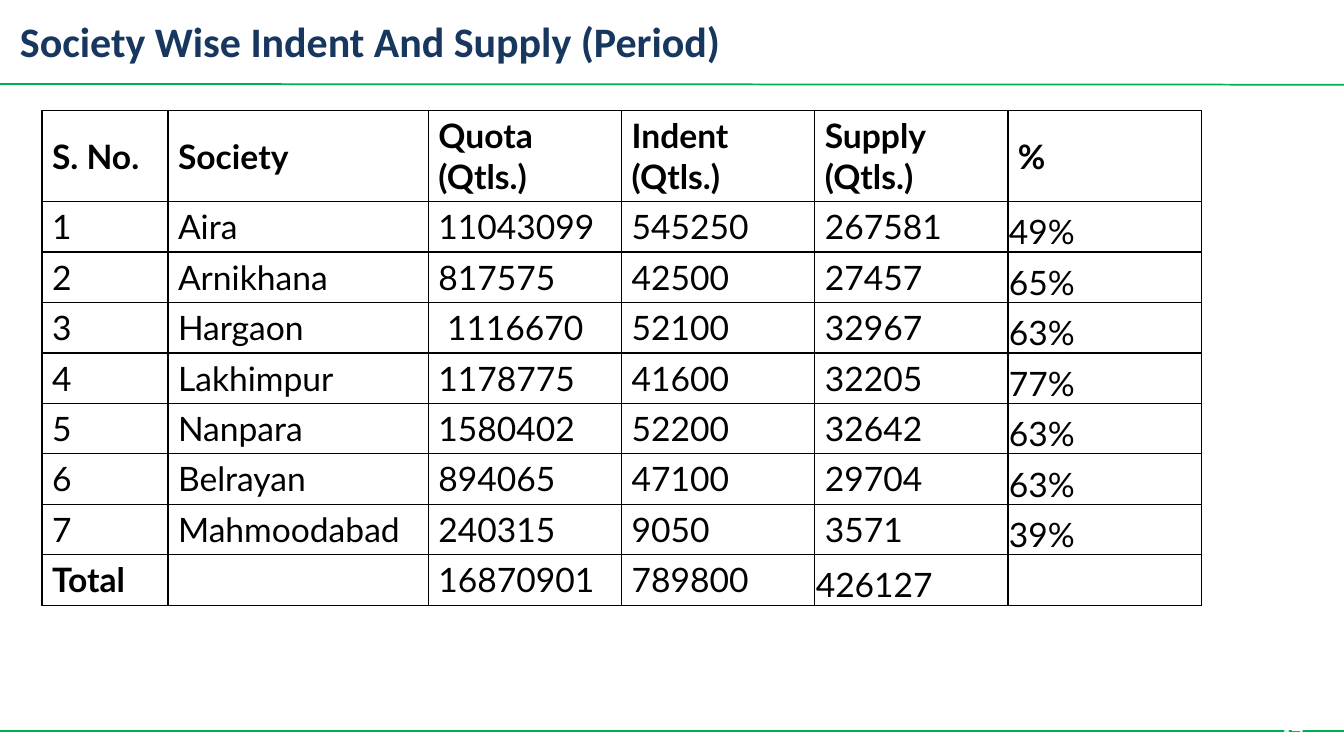
"""Build the society-wise indent and supply slide."""
import pptx
import pptx.dml.color
import pptx.enum.shapes
import pptx.enum.text
import pptx.oxml
import pptx.oxml.ns
import pptx.util

Pt = pptx.util.Pt
ANCHOR = pptx.enum.text.MSO_ANCHOR
HEADINGS = ["S. No.", "Society", "Quota (Qtls.)", "Indent (Qtls.)", "Supply (Qtls.)", "%"]
SOCIETIES = [
    ["1", "Aira", "11043099", "545250", "267581", "49%"],
    ["2", "Arnikhana", "817575", "42500", "27457", "65%"],
    ["3", "Hargaon", " 1116670", "52100", "32967", "63%"],
    ["4", "Lakhimpur", "1178775", "41600", "32205", "77%"],
    ["5", "Nanpara", "1580402", "52200", "32642", "63%"],
    ["6", "Belrayan", "894065", "47100", "29704", "63%"],
    ["7", "Mahmoodabad", "240315", "9050", "3571", "39%"],
]
TOTALS = ["Total", "", "16870901", "789800", "426127", ""]


def color(value):
    return pptx.dml.color.RGBColor.from_string(value)


def write(frame, text, font="Lato", size=24, ink="000000", bold=False):
    paragraph = frame.paragraphs[0]
    target = paragraph
    if text:
        target = paragraph.add_run()
        target.text = text
    target.font.name = font
    target.font.size = Pt(size)
    target.font.bold = bold
    target.font.color.rgb = color(ink)


class Report:
    rule_ink = "00B050"
    border_ink = "000000"

    def __init__(self, slide):
        self.slide = slide

    def rule(self, start_y, end_y):
        line = self.slide.shapes.add_connector(
            pptx.enum.shapes.MSO_CONNECTOR.STRAIGHT, 0, Pt(start_y), Pt(960), Pt(end_y))
        line.line.color.rgb = color(self.rule_ink)
        line.line.width = Pt(1.25)
        line._element.spPr.append(pptx.oxml.parse_xml(
            f'<a:effectLst {pptx.oxml.ns.nsdecls("a")}/>'))

    def text(self, content, left, top, width, height, anchor=ANCHOR.TOP, **style):
        frame = self.slide.shapes.add_textbox(Pt(left), Pt(top), Pt(width), Pt(height)).text_frame
        frame.word_wrap = True
        frame.vertical_anchor = anchor
        write(frame, content, **style)

    def border(self, cell):
        properties = cell._tc.get_or_add_tcPr()
        for position, side in enumerate(("lnL", "lnR", "lnT", "lnB")):
            properties.insert(position, pptx.oxml.parse_xml(
                f'<a:{side} {pptx.oxml.ns.nsdecls("a")} w="{Pt(1)}"><a:solidFill>'
                f'<a:srgbClr val="{self.border_ink}"/></a:solidFill></a:{side}>'))

    def table(self, rows, left, top, widths, heights, is_bold, is_tight):
        grid = self.slide.shapes.add_table(
            len(rows), len(widths), Pt(left), Pt(top), Pt(sum(widths)), Pt(sum(heights))).table
        for column, width in zip(grid.columns, widths):
            column.width = Pt(width)
        for r, (entries, height) in enumerate(zip(rows, heights)):
            grid.rows[r].height = Pt(height)
            for c, entry in enumerate(entries):
                cell = grid.cell(r, c)
                cell.fill.background()
                cell.vertical_anchor = ANCHOR.MIDDLE
                if is_tight(r, c):
                    cell.vertical_anchor = ANCHOR.BOTTOM
                    cell.margin_left = cell.margin_right = cell.margin_top = Pt(0.75)
                    cell.margin_bottom = 0
                write(cell.text_frame, entry, bold=is_bold(r, c))
                self.border(cell)


def main():
    deck = pptx.Presentation()
    deck.slide_width, deck.slide_height = Pt(960), Pt(540)
    report = Report(deck.slides.add_slide(deck.slide_layouts[6]))
    report.rule(60, 60.5)
    report.rule(522, 522)
    report.text("Society Wise Indent And Supply (Period)", 7.2, 5, 695, 48,
                anchor=ANCHOR.MIDDLE, font="Calibri", size=30, ink="17375E", bold=True)
    rows = [HEADINGS, *SOCIETIES, TOTALS]
    total = len(rows) - 1
    report.table(rows, 30, 79, [90, 186] + [138] * 4, [65] + [36] * total,
                 is_bold=lambda r, c: r == 0 or (r, c) == (total, 0),
                 is_tight=lambda r, c: 0 < r < total and c == 5 or (r, c) == (total, 4))
    report.text("17", 909.5, 511, 48, 29, font="Karla", size=18, ink="FFFFFF")
    deck.save("out.pptx")


if __name__ == "__main__":
    main()
